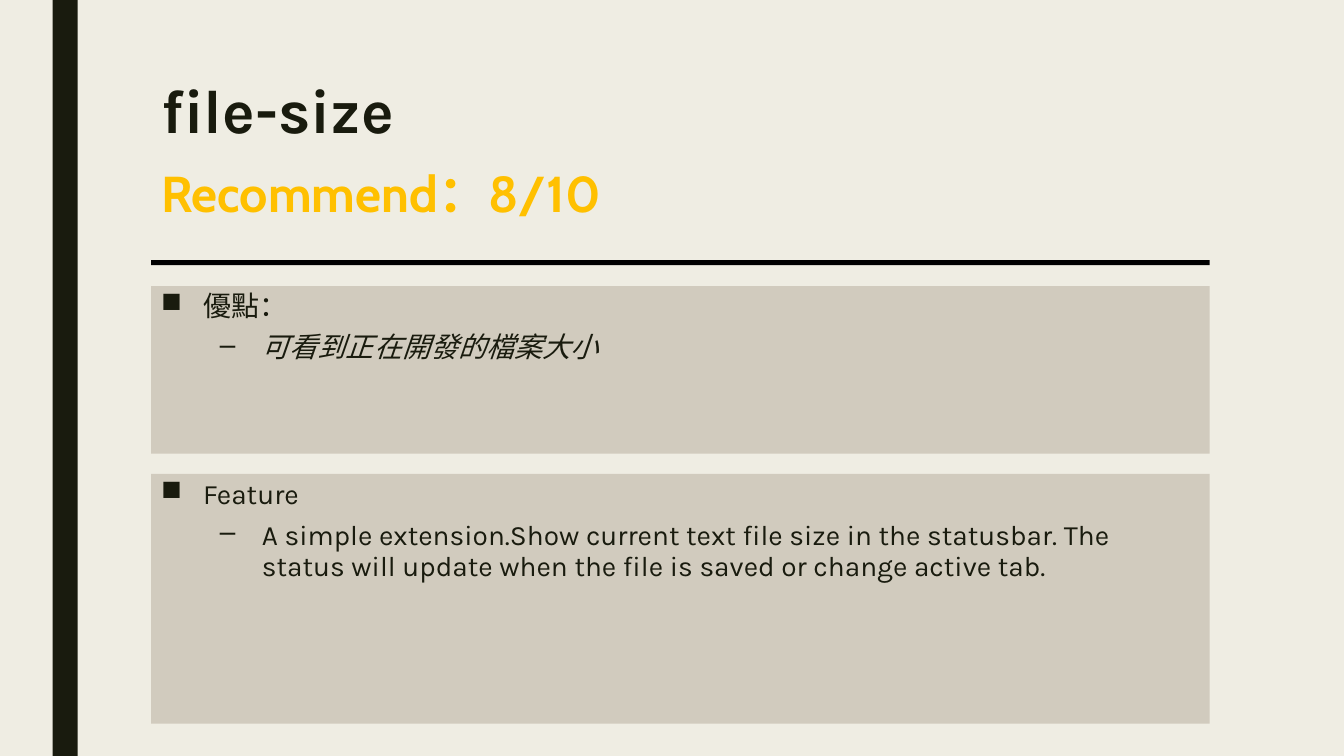
"""Build the file-size extension slide with its rating and two bullet panels."""
from lxml.etree import SubElement
from pptx import Presentation
from pptx.dml.color import RGBColor
from pptx.enum.shapes import MSO_SHAPE as Shape
from pptx.enum.text import MSO_ANCHOR as Anchor, PP_ALIGN as Align
from pptx.oxml.ns import qn
from pptx.util import Pt

INK, PAPER, PANEL, GOLD, BLACK = "191B0E", "EFEDE3", "D1CBBE", "FFC000", "000000"
LEFT, WIDTH = 108, 756

HEADINGS = [
    {"text": "file-size", "top": 54, "width": WIDTH, "height": 58,
     "size": 44, "font": "Karla", "color": INK, "spacing": 0.89},
    {"text": "Recommend：8/10", "top": 112.3, "width": 520.5, "height": 51,
     "size": 36, "font": "Cabin", "color": GOLD, "spacing": 1.0},
]
BARS = [
    (37.5, 0, 18, 540, INK),
    (LEFT, 185.8, WIDTH, 3.6, BLACK),
]
PANELS = [
    {"top": 204.5, "height": 119.5, "heading": "優點：",
     "detail": "可看到正在開發的檔案大小", "italic": True},
    {"top": 338.4, "height": 178.5, "heading": "Feature",
     "detail": "A simple extension.Show current text file size in the statusbar. "
               "The status will update when the file is saved or change active tab.",
     "italic": False},
]
BULLETS = [("■", 30, 0), ("–", 72, 5)]
HANGING = 30


def paint(color_owner, color):
    color_owner.solid()
    color_owner.fore_color.rgb = RGBColor.from_string(color)


def style(paragraph, font_name, size, color, spacing, bold=False, italic=False):
    paragraph.alignment = Align.LEFT
    paragraph.line_spacing = spacing
    font = paragraph.runs[0].font
    font.name, font.size, font.bold, font.italic = font_name, Pt(size), bold, italic
    paint(font.fill, color)


def add_block(slide, left, top, width, height, color):
    shape = slide.shapes.add_shape(
        Shape.RECTANGLE, Pt(left), Pt(top), Pt(width), Pt(height))
    shape.shadow.inherit = False
    paint(shape.fill, color)
    shape.line.fill.background()
    return shape


def add_heading(slide, heading):
    box = slide.shapes.add_textbox(
        Pt(LEFT), Pt(heading["top"]), Pt(heading["width"]), Pt(heading["height"]))
    text_frame = box.text_frame
    text_frame.word_wrap = True
    text_frame.text = heading["text"]
    style(text_frame.paragraphs[0], heading["font"], heading["size"],
          heading["color"], heading["spacing"], bold=True)


def add_panel(slide, panel):
    shape = add_block(slide, LEFT, panel["top"], WIDTH, panel["height"], PANEL)
    text_frame = shape.text_frame
    text_frame.word_wrap = True
    text_frame.vertical_anchor = Anchor.TOP
    text_frame.text = panel["heading"] + "\n" + panel["detail"]
    for level, paragraph in enumerate(text_frame.paragraphs):
        symbol, indent, space_before = BULLETS[level]
        properties = paragraph._p.get_or_add_pPr()
        properties.set("marL", str(Pt(indent)))
        properties.set("indent", str(-Pt(HANGING)))
        SubElement(properties, qn("a:buChar")).set("char", symbol)
        paragraph.level = level
        paragraph.space_before = Pt(space_before)
        paragraph.space_after = Pt(2)
        style(paragraph, "Karla", 20, INK, 0.94,
              italic=panel["italic"] and level == 1)


def main():
    presentation = Presentation()
    presentation.slide_width, presentation.slide_height = Pt(960), Pt(540)
    slide = presentation.slides.add_slide(presentation.slide_layouts[6])
    paint(slide.background.fill, PAPER)
    for bar in BARS:
        add_block(slide, *bar)
    for heading in HEADINGS:
        add_heading(slide, heading)
    for panel in PANELS:
        add_panel(slide, panel)
    presentation.save("out.pptx")


if __name__ == "__main__":
    main()
